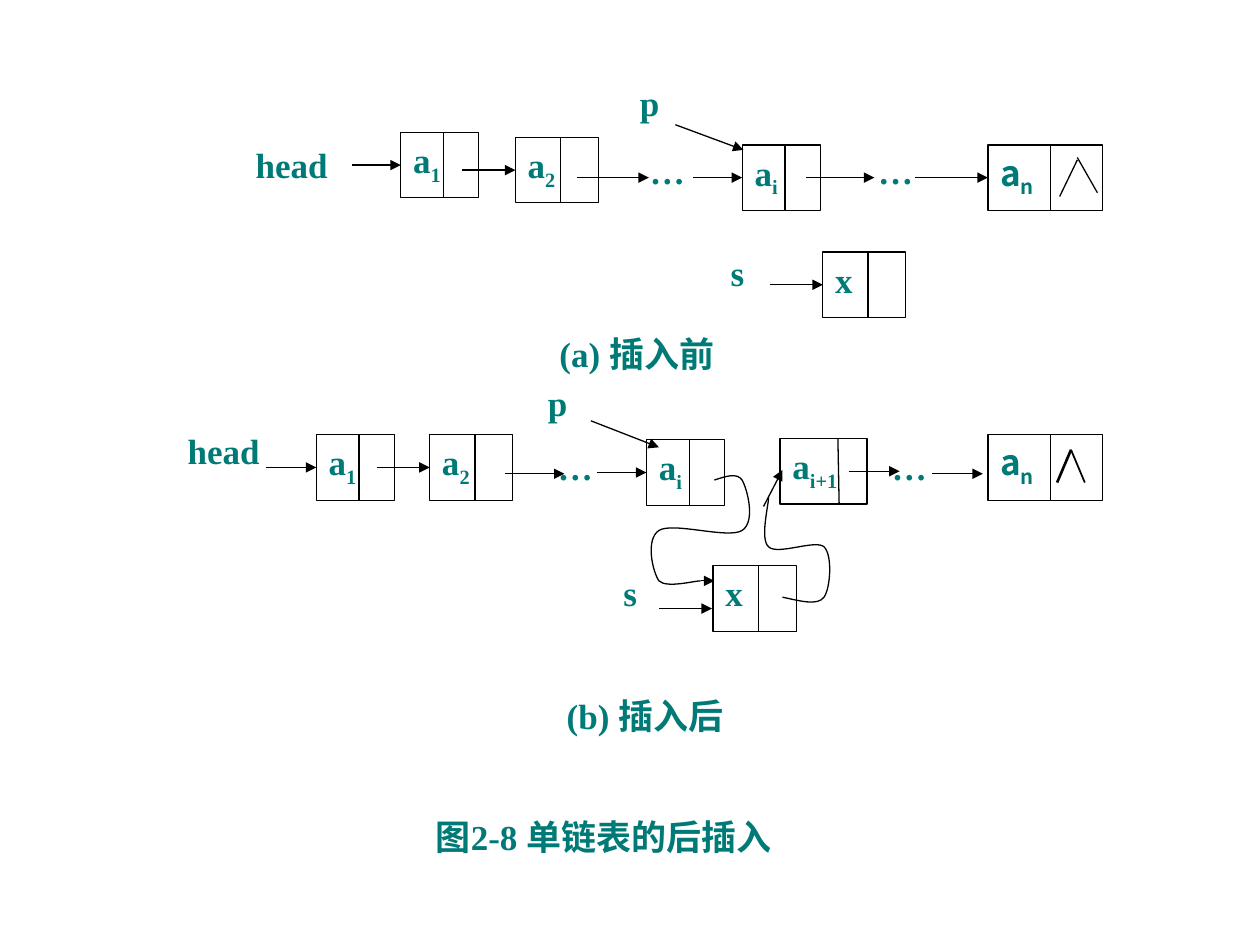
from lxml.etree import SubElement
from pptx import Presentation
from pptx.dml.color import RGBColor
from pptx.enum.shapes import MSO_CONNECTOR, MSO_SHAPE
from pptx.enum.text import MSO_ANCHOR, PP_ALIGN
from pptx.oxml.ns import qn
from pptx.util import Inches, Pt

TEAL = RGBColor(0x00, 0x7A, 0x77)
BLACK = RGBColor(0, 0, 0)
WHITE = RGBColor(255, 255, 255)
SERIF, SANS = "Times New Roman", "Noto Sans CJK SC"
THIN = 0.75
HIGH = 0.52  # height of every list node

# Labels: text, left, top, width, height
LABELS = [
    ("head", 1.93, 1.09, 1.12, 0.56),
    ("p", 4.98, 0.6, 0.61, 0.72),
    ("…", 5.06, 1.14, 0.61, 0.6),
    ("…", 6.87, 1.14, 0.61, 0.61),
    ("s", 5.7, 1.95, 0.61, 0.5),
    ("head", 1.39, 3.36, 0.88, 0.73),
    ("p", 4.25, 2.98, 0.54, 0.5),
    ("…", 4.33, 3.49, 0.68, 0.44),
    ("…", 6.98, 3.49, 0.68, 0.44),
    ("s", 4.85, 4.49, 0.54, 0.67),
]

# Captions: text, left, top, width, height, alignment
CAPTIONS = [
    ("(a) 插入前", 4.14, 2.59, 1.83, 0.61, PP_ALIGN.CENTER),
    ("(b) 插入后", 3.7, 5.46, 2.84, 1.06, PP_ALIGN.CENTER),
    ("图2-8 单链表的后插入", 3.36, 6.42, 3.29, 0.44, PP_ALIGN.LEFT),
]

# Node kinds: letter, subscript, width, top and foot of divider from left, font
KINDS = {
    "first": ("a", "1", 0.62, 0.34, 0.34, SERIF),
    "second": ("a", "2", 0.66, 0.36, 0.36, SERIF),
    "ith": ("a", "i", 0.62, 0.34, 0.34, SERIF),
    "next": ("a", "i+1", 0.69, 0.46, 0.47, SERIF),
    "last": ("a", "n", 0.91, 0.5, 0.5, SANS),
    "new": ("x", "", 0.66, 0.36, 0.36, SERIF),
}

# Nodes: kind, left, top
NODES = [
    ("first", 3.18, 1.05), ("second", 4.09, 1.09), ("ith", 5.89, 1.15),
    ("last", 7.84, 1.15), ("new", 6.53, 2),
    ("first", 2.51, 3.45), ("second", 3.41, 3.45), ("ith", 5.13, 3.49),
    ("next", 6.19, 3.48), ("last", 7.84, 3.45), ("new", 5.66, 4.49),
]

# Pointers: x and y of start, x and y of end
ARROWS = [
    (2.79, 1.31, 3.18, 1.31), (3.67, 1.35, 4.09, 1.35),
    (4.58, 1.41, 5.15, 1.41), (5.5, 1.41, 5.89, 1.41),
    (6.4, 1.41, 6.94, 1.41), (7.26, 1.41, 7.84, 1.41),
    (5.36, 0.99, 5.9, 1.19), (6.11, 2.26, 6.53, 2.26),
    (2.11, 3.71, 2.51, 3.71), (2.99, 3.71, 3.41, 3.71),
    (4.01, 3.76, 4.48, 3.76), (4.74, 3.75, 5.13, 3.75),
    (6.74, 3.74, 7.14, 3.74), (7.4, 3.76, 7.8, 3.76),
    (4.69, 3.34, 5.23, 3.55), (5.23, 4.83, 5.65, 4.83),
    (5.56, 4.61, 5.67, 4.61), (6.06, 4.02, 6.21, 3.73),
]

# Null marks: start, end, line width
MARKS = [
    (8.55, 1.27, 8.41, 1.56, THIN), (8.55, 1.25, 8.71, 1.53, THIN),
    (8.39, 3.83, 8.5, 3.57, 1.5), (8.5, 3.57, 8.61, 3.83, 1),
]

# Relinked pointers: start point, then three points for each Bezier curve
CURVES = [
    [(5.67, 3.81), (5.76, 3.78), (5.85, 3.75), (5.89, 3.81),
     (5.93, 3.88), (6, 4.14), (5.89, 4.21),
     (5.78, 4.28), (5.34, 4.14), (5.23, 4.21),
     (5.12, 4.28), (5.18, 4.54), (5.23, 4.61),
     (5.29, 4.67), (5.51, 4.61), (5.56, 4.61)],
    [(6.21, 4.74), (6.35, 4.77), (6.49, 4.81), (6.54, 4.74),
     (6.59, 4.67), (6.61, 4.41), (6.54, 4.34),
     (6.47, 4.28), (6.17, 4.41), (6.1, 4.34),
     (6.03, 4.28), (6.1, 4.01), (6.1, 3.95)],
]

deck = Presentation()
deck.slide_width, deck.slide_height = Inches(10), Inches(7.5)
slide = deck.slides.add_slide(deck.slide_layouts[6])
shapes = slide.shapes


def write(shape, text, sub="", face=SERIF, align=PP_ALIGN.JUSTIFY):
    frame = shape.text_frame
    frame.word_wrap = True
    frame.vertical_anchor = MSO_ANCHOR.TOP
    para = frame.paragraphs[0]
    para.alignment = align
    para.add_run().text = text
    if sub:
        run = para.add_run()
        run.text = sub
        run._r.get_or_add_rPr().set("baseline", "-25000")
    font = para.font
    font.size, font.bold, font.name = Pt(20), True, face
    font.color.rgb = TEAL
    SubElement(font._rPr, qn("a:ea")).set("typeface", SANS)


def ink(shape, width=THIN):
    shape.line.color.rgb = BLACK
    shape.line.width = Pt(width)


def draw(x1, y1, x2, y2, width=THIN, arrow=False):
    line = shapes.add_connector(
        MSO_CONNECTOR.STRAIGHT, *map(Inches, (x1, y1, x2, y2)))
    ink(line, width)
    if arrow:
        SubElement(line.line._get_or_add_ln(), qn("a:tailEnd")).set("type", "triangle")
    SubElement(line._element.spPr, qn("a:effectLst"))


def add_node(kind, left, top):
    text, sub, wide, head, foot, face = KINDS[kind]
    box = shapes.add_shape(
        MSO_SHAPE.RECTANGLE, *map(Inches, (left, top, wide, HIGH)))
    box.shadow.inherit = False
    box.fill.solid()
    box.fill.fore_color.rgb = WHITE
    ink(box)
    write(box, text, sub, face)
    draw(left + head, top, left + foot, top + HIGH)


def add_curve(points):
    spots = [(Inches(x), Inches(y)) for x, y in points]
    pen = shapes.build_freeform(*spots[0])
    pen.add_line_segments(spots[1:], close=False)
    curve = pen.convert_to_shape()
    curve.shadow.inherit = False
    curve.fill.background()
    ink(curve)
    # Join each three straight steps into one Bezier curve
    path = next(curve._element.iter(qn("a:path")))
    steps = path.findall(qn("a:lnTo"))
    for i in range(0, len(steps), 3):
        bend = SubElement(path, qn("a:cubicBezTo"))
        for step in steps[i:i + 3]:
            bend.append(step[0])
            path.remove(step)


# Text
for text, *area in LABELS:
    write(shapes.add_textbox(*map(Inches, area)), text)
for text, *area, align in CAPTIONS:
    write(shapes.add_textbox(*map(Inches, area)), text, align=align)

# List nodes, then the pointers over them
for node in NODES:
    add_node(*node)
for arrow in ARROWS:
    draw(*arrow, arrow=True)
for mark in MARKS:
    draw(*mark)
for points in CURVES:
    add_curve(points)

deck.save("out.pptx")
